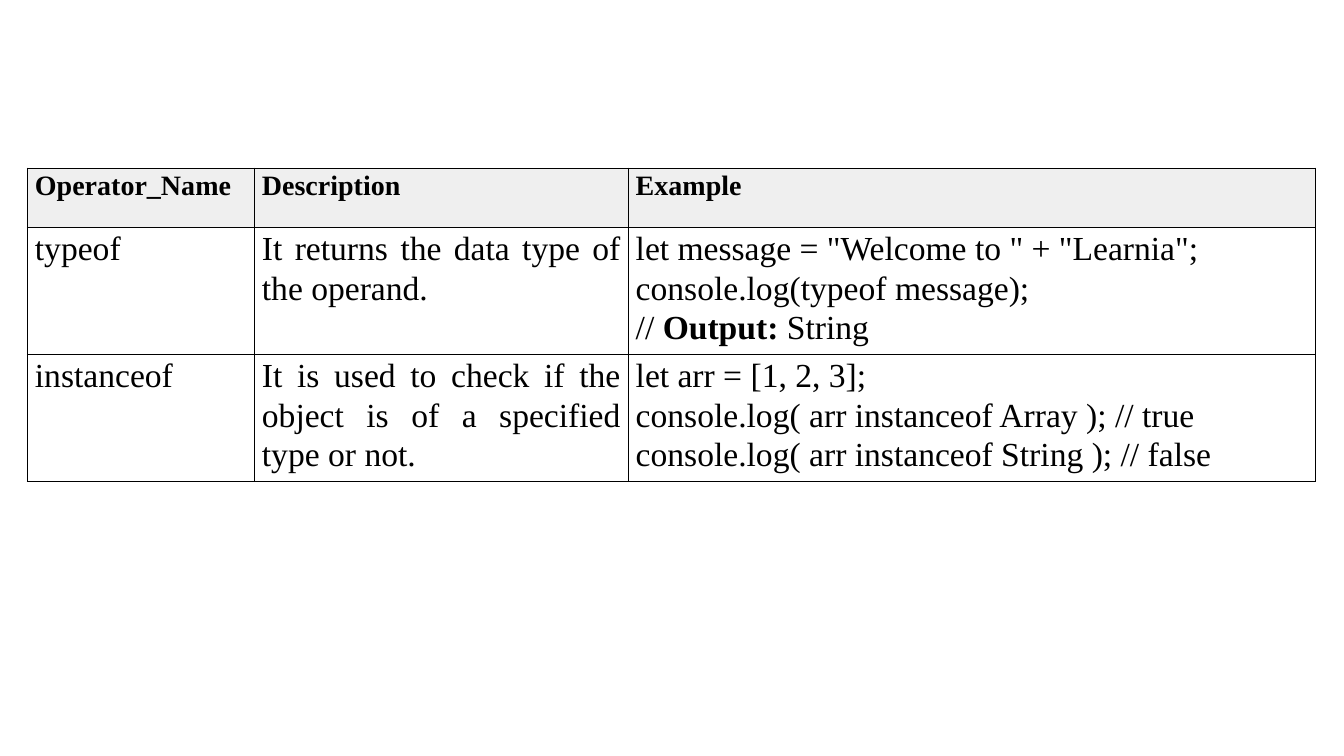
import pptx
import pptx.dml.color
import pptx.enum.text
import pptx.oxml
import pptx.oxml.ns
import pptx.util

Cm, Pt = pptx.util.Cm, pptx.util.Pt

# Each cell is a list of lines; a line is plain text or a list of (text, bold) runs.
HEADS = ["Operator_Name", "Description", "Example"]
ROWS = [
    [
        ["typeof"],
        ["It returns the data type of the operand."],
        [
            'let message = "Welcome to " + "Learnia";',
            "console.log(typeof message);",
            [("// ", False), ("Output: ", True), ("String", False)],
        ],
    ],
    [
        ["instanceof"],
        ["It is used to check if the object is of a specified type or not."],
        [
            "let arr = [1, 2, 3];",
            "console.log( arr instanceof Array ); // true",
            "console.log( arr instanceof String ); // false",
        ],
    ],
]
WIDTHS = [5.72, 9.42, 17.32]
HEIGHTS = [1.5, 3.2, 3.2]
LEFT, TOP = 0.69, 4.24
FONT, INK, SHADE = "Times New Roman", "000000", "EFEFEF"


def color(code):
    return pptx.dml.color.RGBColor.from_string(code)


def border(cell):
    props = cell._tc.get_or_add_tcPr()
    for side in "LRTB":
        props.append(pptx.oxml.parse_xml(
            f'<a:ln{side} {pptx.oxml.ns.nsdecls("a")} w="{Pt(1)}"><a:solidFill>'
            f'<a:srgbClr val="{INK}"/></a:solidFill></a:ln{side}>'))


def write(cell, lines, size, bold):
    cell.margin_left = cell.margin_right = Cm(0.19)
    cell.margin_top = cell.margin_bottom = 0
    frame = cell.text_frame
    for i, line in enumerate(lines):
        para = frame.add_paragraph() if i else frame.paragraphs[0]
        para.alignment = pptx.enum.text.PP_ALIGN.JUSTIFY
        para.line_spacing = 1.07
        font = para.font
        font.name, font.size = FONT, Pt(size)
        font.color.rgb = color(INK)
        if isinstance(line, str):
            font.bold = bold
            para.add_run().text = line
            continue
        for text, strong in line:
            run = para.add_run()
            run.text, run.font.bold = text, strong


def main():
    deck = pptx.Presentation()
    deck.slide_width, deck.slide_height = Cm(33.87), Cm(19.05)
    slide = deck.slides.add_slide(deck.slide_layouts[6])
    grid = [[[head] for head in HEADS]] + ROWS
    table = slide.shapes.add_table(
        len(grid), len(HEADS), Cm(LEFT), Cm(TOP),
        Cm(sum(WIDTHS)), Cm(sum(HEIGHTS))).table
    table.first_row = table.horz_banding = False
    for col, width in zip(table.columns, WIDTHS):
        col.width = Cm(width)
    for r, (row, height) in enumerate(zip(grid, HEIGHTS)):
        table.rows[r].height = Cm(height)
        top = r == 0
        for c, lines in enumerate(row):
            cell = table.cell(r, c)
            border(cell)
            if top:
                cell.fill.solid()
                cell.fill.fore_color.rgb = color(SHADE)
            else:
                cell.fill.background()
            write(cell, lines, 20 if top else 24, top)
    deck.save("out.pptx")


if __name__ == "__main__":
    main()
